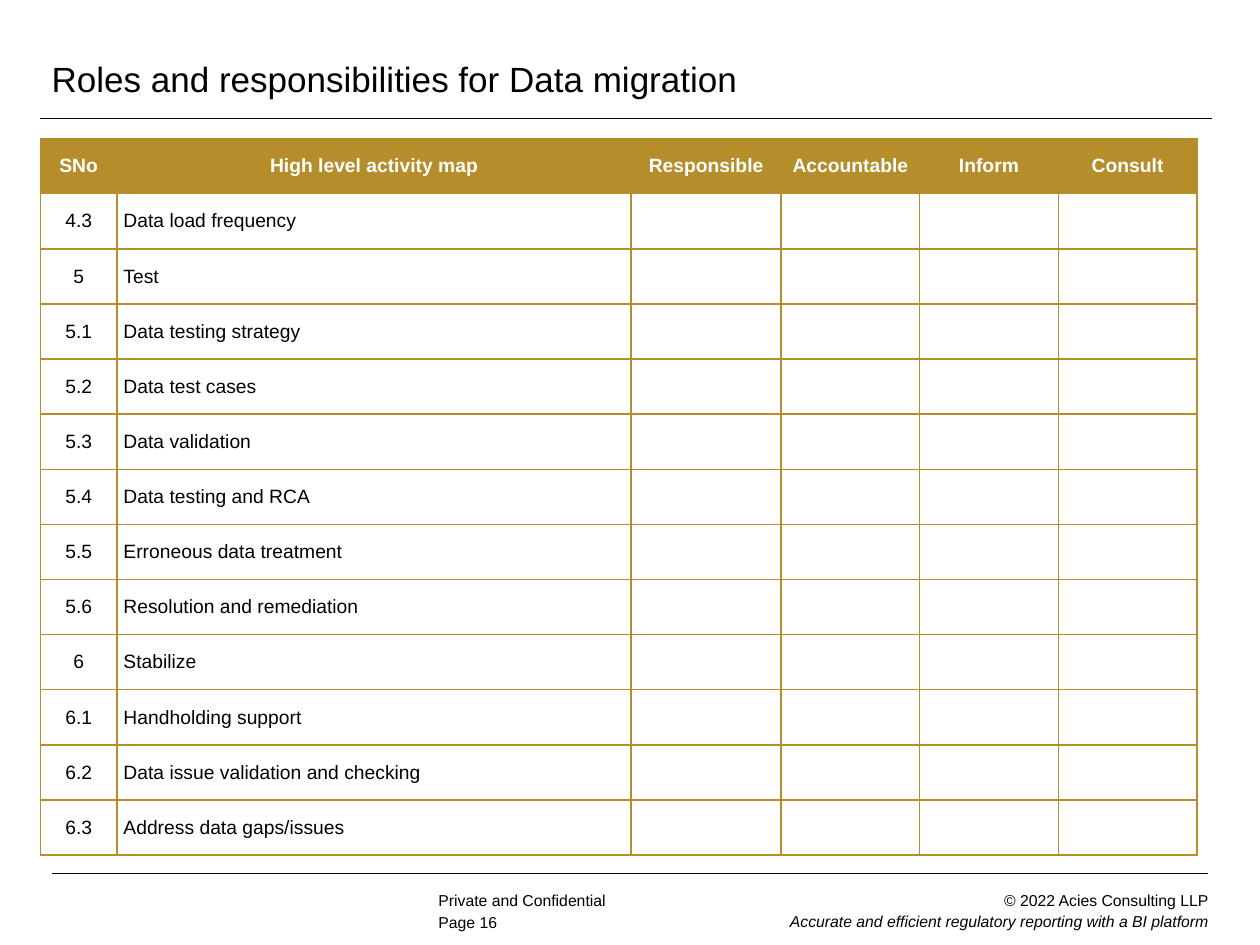
from dataclasses import dataclass

from lxml.etree import SubElement
from pptx import Presentation
from pptx.dml.color import RGBColor
from pptx.enum.shapes import MSO_CONNECTOR
from pptx.enum.text import MSO_ANCHOR, PP_ALIGN
from pptx.oxml.ns import qn
from pptx.util import Inches, Pt


@dataclass(frozen=True)
class Theme:
    font: str = "Arial"
    black: RGBColor = RGBColor(0, 0, 0)
    white: RGBColor = RGBColor(255, 255, 255)
    gold: RGBColor = RGBColor(0xB5, 0x8D, 0x2B)
    title_size: int = 20
    table_size: int = 11
    footer_size: int = 9


theme = Theme()


def add_run(paragraph, text, size, color=theme.black, bold=False, italic=False):
    run = paragraph.add_run()
    run.text = text
    run.font.name = theme.font
    run.font.size = Pt(size)
    run.font.color.rgb = color
    run.font.bold = bold
    run.font.italic = italic


def format_cell(cell, margins, border_color, sides, fill=None):
    """Draw 1 pt borders on the given sides (of "LRTB"), then set fill and layout."""
    properties = cell._tc.get_or_add_tcPr()
    for side in "LRTB":
        line = SubElement(properties, qn(f"a:ln{side}"), w=str(Pt(1)))
        if side in sides:
            solid = SubElement(line, qn("a:solidFill"))
            SubElement(solid, qn("a:srgbClr"), val=str(border_color))
        else:
            SubElement(line, qn("a:noFill"))
    if fill is None:
        cell.fill.background()
    else:
        cell.fill.solid()
        cell.fill.fore_color.rgb = fill
    cell.vertical_anchor = MSO_ANCHOR.MIDDLE
    cell.margin_left = cell.margin_right = Inches(margins[0])
    cell.margin_top = cell.margin_bottom = Inches(margins[1])


presentation = Presentation()
presentation.slide_width = Inches(10)
presentation.slide_height = Inches(7.5)
slide = presentation.slides.add_slide(presentation.slide_layouts[6])

# Footer
footer_line = slide.shapes.add_connector(
    MSO_CONNECTOR.STRAIGHT, Inches(0.41), Inches(6.93), Inches(9.59), Inches(6.93)
)
footer_line.line.color.rgb = theme.black
footer_line.line.width = Pt(0.75)
SubElement(footer_line._element.spPr, qn("a:effectLst"))

footers = [
    (3.48, 7.07, 1.77, 0.15, PP_ALIGN.LEFT, [("Private and Confidential", False)]),
    (3.48, 7.24, 0.55, 0.11, PP_ALIGN.LEFT, [("Page 16", False)]),
    (4.95, 7.07, 4.64, 0.32, PP_ALIGN.RIGHT, [
        ("© 2022 Acies Consulting LLP", False),
        ("Accurate and efficient regulatory reporting with a BI platform", True),
    ]),
]
for left, top, width, height, alignment, lines in footers:
    box = slide.shapes.add_textbox(Inches(left), Inches(top), Inches(width), Inches(height))
    frame = box.text_frame
    frame.word_wrap = True
    frame.margin_left = frame.margin_right = frame.margin_top = frame.margin_bottom = 0
    for index, (text, italic) in enumerate(lines):
        paragraph = frame.add_paragraph() if index else frame.paragraphs[0]
        paragraph.alignment = alignment
        paragraph.space_after = Pt(1)
        add_run(paragraph, text, theme.footer_size, italic=italic)

# Title, a one-cell table underlined by its bottom border
title_table = slide.shapes.add_table(
    1, 1, Inches(0.32), Inches(0.33), Inches(9.3), Inches(0.61)
).table
title_table.first_row = title_table.horz_banding = False
title_cell = title_table.cell(0, 0)
format_cell(title_cell, (0.09, 0.04), theme.black, "B")
add_run(
    title_cell.text_frame.paragraphs[0],
    "Roles and responsibilities for Data migration",
    theme.title_size,
)

# Responsibility matrix
headers = ["SNo", "High level activity map", "Responsible", "Accountable", "Inform", "Consult"]
column_widths = [0.61, 4.08, 1.19, 1.1, 1.1, 1.1]
activities = [
    ("4.3", "Data load frequency"),
    ("5", "Test"),
    ("5.1", "Data testing strategy"),
    ("5.2", "Data test cases"),
    ("5.3", "Data validation"),
    ("5.4", "Data testing and RCA"),
    ("5.5", "Erroneous data treatment"),
    ("5.6", "Resolution and remediation"),
    ("6", "Stabilize"),
    ("6.1", "Handholding support"),
    ("6.2", "Data issue validation and checking"),
    ("6.3", "Address data gaps/issues"),
]
rows = [headers, *activities]
matrix = slide.shapes.add_table(
    len(rows), len(headers), Inches(0.32), Inches(1.1),
    Inches(sum(column_widths)), Inches(5.69),
).table
matrix.horz_banding = False
for column, width in zip(matrix.columns, column_widths):
    column.width = Inches(width)

for row_index, texts in enumerate(rows):
    is_header = row_index == 0
    for column_index in range(len(headers)):
        cell = matrix.cell(row_index, column_index)
        format_cell(cell, (0.05, 0), theme.gold, "LRTB", theme.gold if is_header else None)
        if column_index < len(texts):
            paragraph = cell.text_frame.paragraphs[0]
            centred = is_header or column_index == 0
            paragraph.alignment = PP_ALIGN.CENTER if centred else PP_ALIGN.LEFT
            color = theme.white if is_header else theme.black
            add_run(paragraph, texts[column_index], theme.table_size, color, bold=is_header)

presentation.save("out.pptx")
